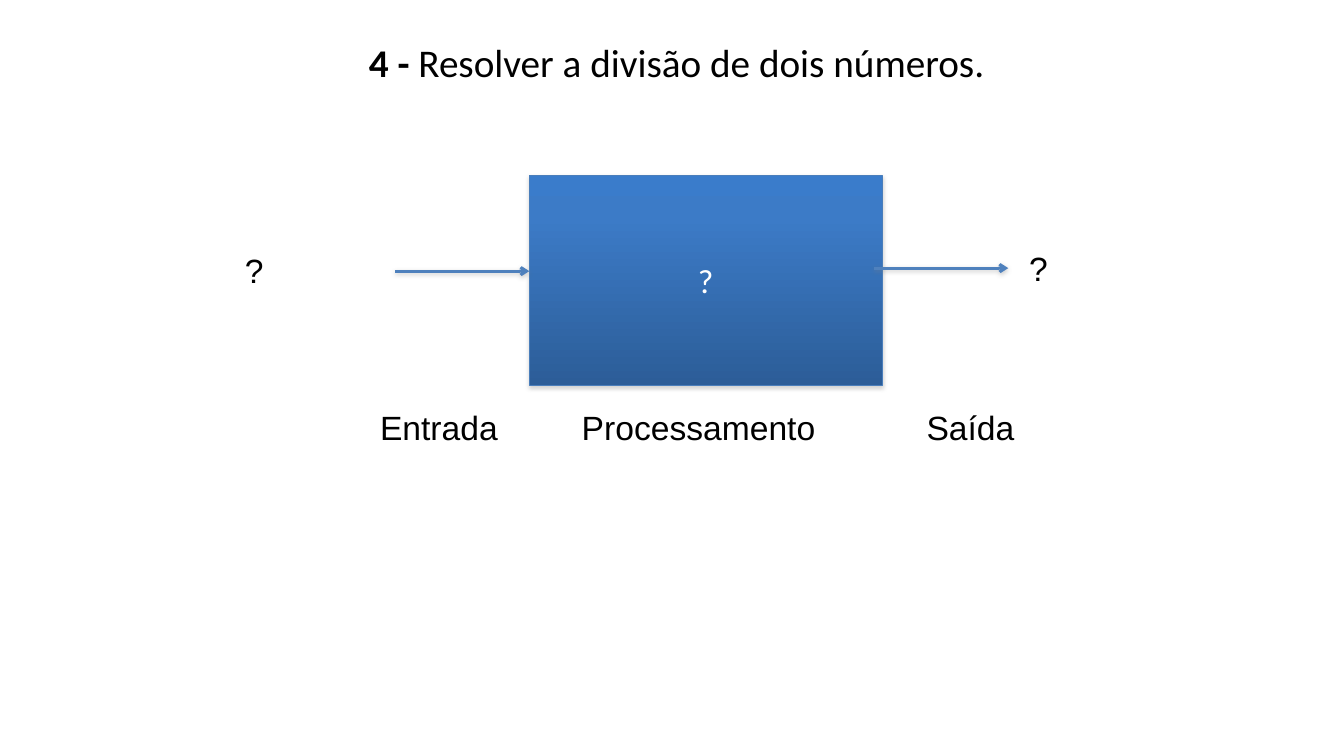
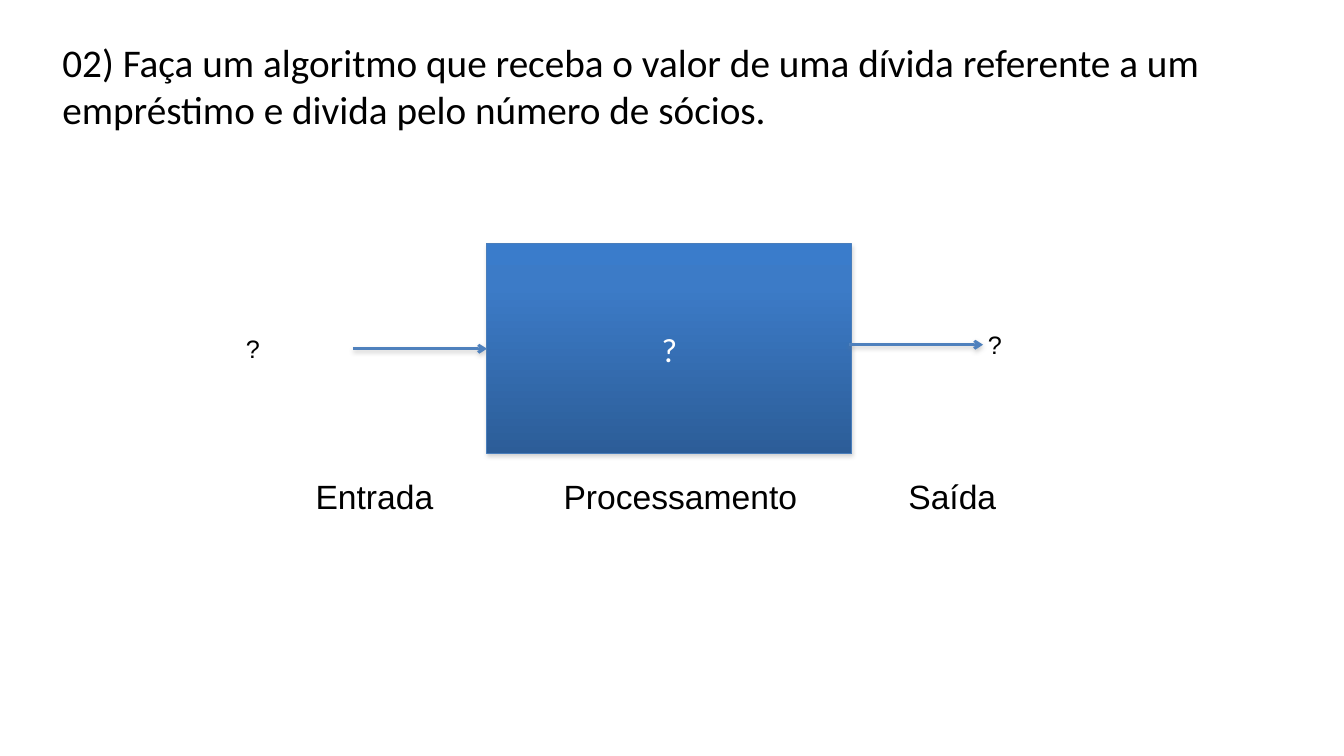
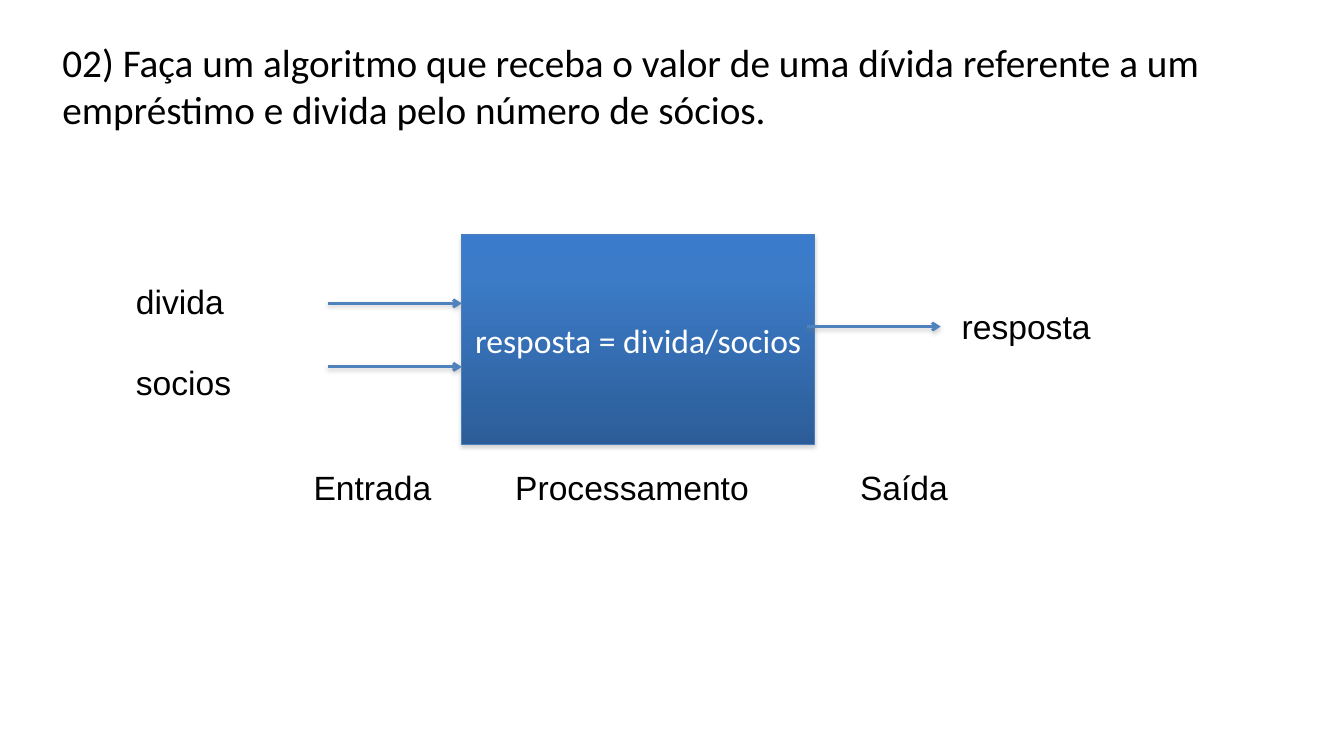
import copy

import lxml.etree
import pptx
import pptx.dml.color
import pptx.enum.shapes
import pptx.enum.text
import pptx.oxml.ns
import pptx.util

EMU_PER_PX = 9144
BLACK = pptx.dml.color.RGBColor(0x00, 0x00, 0x00)
WHITE = pptx.dml.color.RGBColor(0xFF, 0xFF, 0xFF)
BOX_EDGE = pptx.dml.color.RGBColor(0x4A, 0x7E, 0xBB)
ARROW_BLUE = pptx.dml.color.RGBColor(0x4F, 0x81, 0xBD)
SHADOW_GRAY = pptx.dml.color.RGBColor(0x80, 0x80, 0x80)
BOX_GRADIENT = (
    (0, pptx.dml.color.RGBColor(0x3A, 0x7C, 0xCB)),
    (0.2, pptx.dml.color.RGBColor(0x3C, 0x7B, 0xC7)),
    (1, pptx.dml.color.RGBColor(0x2C, 0x5D, 0x98)),
)
HEADING_FONT = "Calibri"
LABEL_FONT = "Arial"
LEFT = pptx.enum.text.PP_ALIGN.LEFT
CENTER = pptx.enum.text.PP_ALIGN.CENTER
LEFT_SIDE = 1
DEBT_TASK = (
    "02) Faça um algoritmo que receba o valor de uma dívida referente a um "
    "empréstimo e divida pelo número de sócios."
)


def px(length):
    return pptx.util.Emu(length * EMU_PER_PX)


def add_xml(parent, tag, **attributes):
    return lxml.etree.SubElement(parent, pptx.oxml.ns.qn(tag), attributes)


class Deck:
    def __init__(self):
        self.presentation = pptx.Presentation()
        self.presentation.slide_width = px(1333)
        self.presentation.slide_height = px(750)
        self.slide = None

    def new_slide(self):
        layout = self.presentation.slide_layouts[6]
        self.slide = self.presentation.slides.add_slide(layout)

    def style(self, paragraph, font, size, color=BLACK, align=LEFT):
        paragraph.alignment = align
        paragraph.font.name = font
        paragraph.font.size = pptx.util.Pt(size)
        paragraph.font.color.rgb = color

    def text_frame(self, left, top, width, height):
        box = self.slide.shapes.add_textbox(px(left), px(top), px(width), px(height))
        box.text_frame.word_wrap = True
        return box.text_frame

    def title(self, left, top, width, height, text, number="", align=LEFT):
        paragraph = self.text_frame(left, top, width, height).paragraphs[0]
        self.style(paragraph, HEADING_FONT, 28, align=align)
        if number:
            number_run = paragraph.add_run()
            number_run.text = number
            number_run.font.bold = True
        paragraph.add_run().text = text

    def label(self, left, top, width, height, *lines, size=24):
        frame = self.text_frame(left, top, width, height)
        frame.text = "\n".join(lines)
        for paragraph in frame.paragraphs:
            self.style(paragraph, LABEL_FONT, size)
        for paragraph in frame.paragraphs[1:]:
            paragraph.space_before = pptx.util.Pt(29)

    def stage_names(self, left, top, inset=94, process_tab=200):
        frame = self.text_frame(left, top, 817, 51)
        frame.margin_left = px(inset)
        paragraph = frame.paragraphs[0]
        paragraph.text = "Entrada\tProcessamento\tSaída"
        self.style(paragraph, LABEL_FONT, 24)
        properties = paragraph.font._element.getparent()
        tabs = lxml.etree.Element(pptx.oxml.ns.qn("a:tabLst"))
        for position in (process_tab, process_tab + 342):
            add_xml(tabs, "a:tab", pos=str(px(position)), algn="l")
        paragraph.font._element.addprevious(tabs)

    def shadow(self, properties, opacity, distance):
        effects = properties.find(pptx.oxml.ns.qn("a:effectLst"))
        if effects is None:
            effects = add_xml(properties, "a:effectLst")
        outer = add_xml(
            effects, "a:outerShdw", blurRad="40000", dist=str(distance),
            dir="5400000", rotWithShape="0",
        )
        color = add_xml(outer, "a:srgbClr", val=str(SHADOW_GRAY))
        add_xml(color, "a:alpha", val=str(opacity * 1000))

    def process_box(self, left, top, width, text):
        box = self.slide.shapes.add_shape(
            pptx.enum.shapes.MSO_SHAPE.RECTANGLE, px(left), px(top), px(width), px(208)
        )
        box.fill.gradient()
        box.fill.gradient_angle = 270
        stops = box._element.spPr.find(".//" + pptx.oxml.ns.qn("a:gsLst"))
        stops.append(copy.deepcopy(stops[0]))
        for stop, (position, color) in zip(box.fill.gradient_stops, BOX_GRADIENT):
            stop.position = position
            stop.color.rgb = color
        box.line.color.rgb = BOX_EDGE
        box.line.width = pptx.util.Pt(0.75)
        box.shadow.inherit = False
        self.shadow(box._element.spPr, 35, 23000)
        frame = box.text_frame
        frame.word_wrap = True
        frame.vertical_anchor = pptx.enum.text.MSO_ANCHOR.MIDDLE
        frame.text = text
        self.style(frame.paragraphs[0], HEADING_FONT, 24, WHITE, CENTER)
        return box

    def arrow(self, left, top, target=None):
        connector = self.slide.shapes.add_connector(
            pptx.enum.shapes.MSO_CONNECTOR.STRAIGHT,
            px(left), px(top), px(left + 133), px(top),
        )
        if target is not None:
            connector.end_connect(target, LEFT_SIDE)
        connector.line.color.rgb = ARROW_BLUE
        connector.line.width = pptx.util.Pt(2)
        properties = connector._element.spPr
        add_xml(properties.find(pptx.oxml.ns.qn("a:ln")), "a:tailEnd", type="arrow")
        self.shadow(properties, 38, 20000)


def division_slide(deck):
    deck.new_slide()
    deck.title(25, 33, 1292, 57, " Resolver a divisão de dois números.", "4 -", CENTER)
    deck.process_box(525, 174, 350, "?")
    deck.arrow(392, 269)
    deck.label(1011, 241, 314, 51, "?")
    deck.label(233, 243, 162, 131, "?")
    deck.stage_names(283, 399)
    deck.arrow(867, 266)


def debt_question_slide(deck):
    deck.new_slide()
    process = deck.process_box(483, 242, 362, "?")
    deck.arrow(350, 346, process)
    deck.arrow(842, 342)
    deck.stage_names(242, 467, inset=71, process_tab=246)
    deck.label(234, 326, 34, 40, "?", size=18)
    deck.label(970, 322, 197, 40, "?", size=18)
    deck.title(52, 33, 1232, 104, DEBT_TASK)


def debt_answer_slide(deck):
    deck.new_slide()
    deck.title(52, 33, 1232, 104, DEBT_TASK)
    deck.process_box(458, 233, 350, "resposta = divida/socios")
    for input_top in (301, 364):
        deck.arrow(325, input_top)
    deck.label(944, 299, 314, 51, "resposta")
    deck.label(125, 274, 204, 131, "divida", "socios")
    deck.stage_names(217, 458)
    deck.arrow(800, 324)


def main():
    deck = Deck()
    division_slide(deck)
    debt_question_slide(deck)
    debt_answer_slide(deck)
    deck.presentation.save("out.pptx")


if __name__ == "__main__":
    main()
